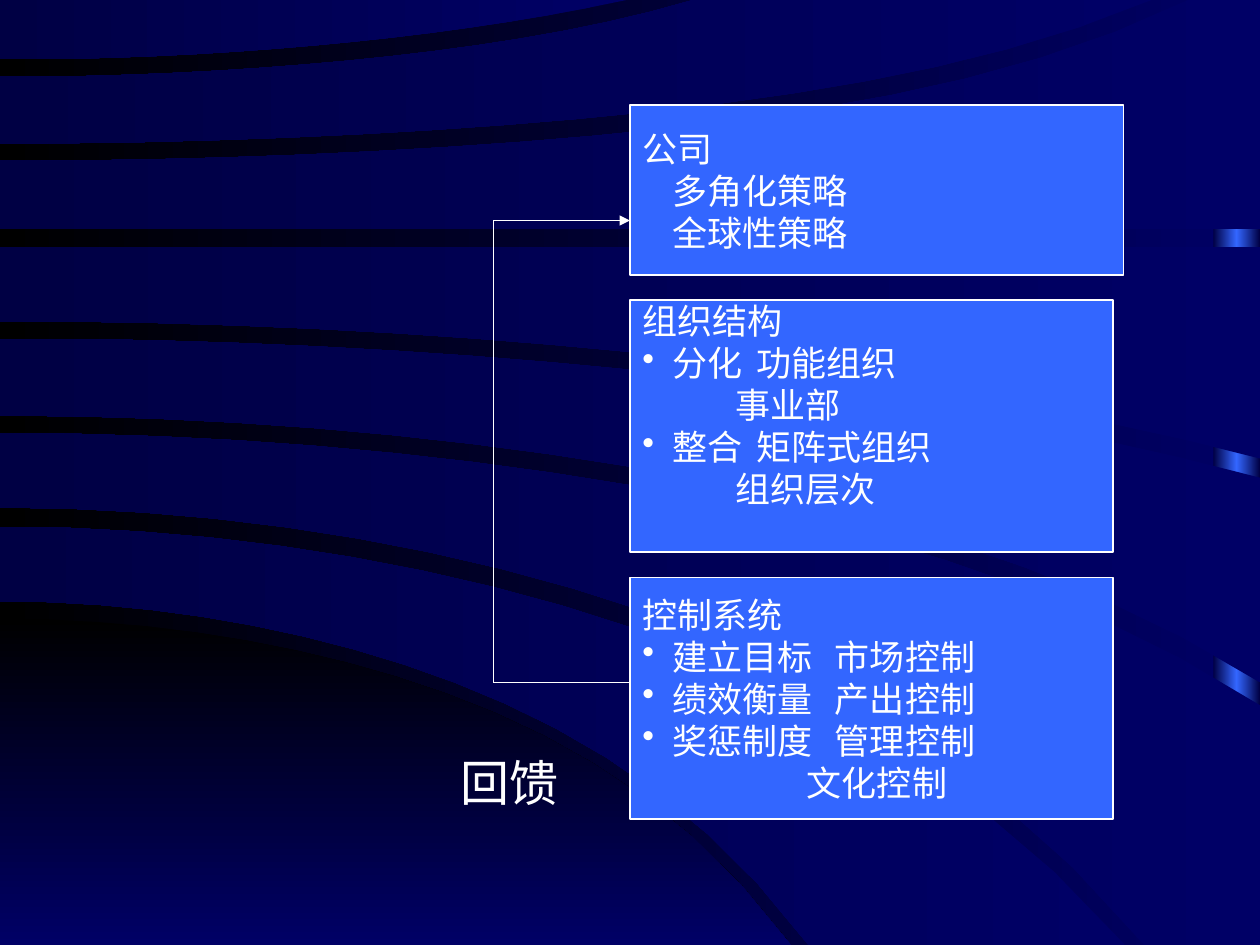
import copy
import pptx
import pptx.util
import pptx.dml.color
import pptx.enum.shapes
import pptx.enum.text
import pptx.oxml.ns
import lxml.etree

Pt = pptx.util.Pt
qn = pptx.oxml.ns.qn
FONT = "Times New Roman"
COLORS = {"navy": "000066", "dark": "000044", "black": "000000",
          "blue": "3366FF", "white": "FFFFFF"}
WIDTH, HEIGHT = 720, 540

# Backdrop: upper and lower edge of each shape as (start y, end x, end y, bend),
# then any corner between the two ends
DOME = ((353.5, 452, HEIGHT, 0.31), (HEIGHT, 452, HEIGHT, 0), [])
BANDS = [
    ((301, 643, HEIGHT, 0.26), (343.5, 462, HEIGHT, 0.28), []),
    ((247.5, WIDTH, 403, 0.25), (290, 654, HEIGHT, 0.28), [(WIDTH, HEIGHT)]),
    ((193.5, WIDTH, 273, 0.11), (237.5, WIDTH, 390, 0.25), []),
    ((141, WIDTH, 141, 0), (183.5, WIDTH, 262, 0.11), []),
    ((92, 679, 0, 0.4), (131, WIDTH, 131, 0), [(WIDTH, 0)]),
    ((44, 396, 0, 0.17), (82, 658, 0, 0.34), []),
    ((0, 358, 0, 0), (34, 358, 0, 0.07), []),
]
STEPS = 16

# Boxes: top, width, height, room kept below the text, tab stop,
# then lines of (indent, bulleted, text)
HANG = 17
BOXES = [
    (60, 282, 97.2, 0, None,
     [(0, False, "公司"), (HANG, False, "多角化策略"), (HANG, False, "全球性策略")]),
    (171.4, 276, 144, 24, 65,
     [(0, False, "组织结构"), (HANG, True, "分化\t功能组织"),
      (53, False, "事业部"), (HANG, True, "整合\t矩阵式组织"),
      (53, False, "组织层次")]),
    (330, 276, 138, 0, 110,
     [(0, False, "控制系统"), (HANG, True, "建立目标\t市场控制"),
      (HANG, True, "绩效衡量\t产出控制"), (HANG, True, "奖惩制度\t管理控制"),
      (94, False, "文化控制")]),
]
BOX_LEFT = 360

# Feedback loop from the control box back to the company box
LABEL = "回馈"
LOOP = [(BOX_LEFT, 390), (282, 390), (282, 126), (BOX_LEFT, 126)]


def color(name):
    return pptx.dml.color.RGBColor.from_string(COLORS[name])


def blend(fill, names, angle):
    fill.gradient()
    fill.gradient_angle = angle
    for stop, name in zip(fill.gradient_stops, names):
        stop.color.rgb = color(name)


def finish(shape):
    shape.shadow.inherit = False
    shape.line.fill.background()


def trace(start, reach, end, bend):
    """Points of an edge that leaves the left side level and steepens."""
    points = []
    for i in range(STEPS + 1):
        t = i / STEPS
        rise = (1 - bend) * t ** 2 + bend * t ** 6
        points.append((reach * t, start + (end - start) * rise))
    return points


def draw_band(shapes, band, names, angle):
    upper, lower, corner = band
    outline = trace(*upper) + corner + trace(*lower)[::-1]
    points = [(Pt(x), Pt(y)) for x, y in outline]
    pen = shapes.build_freeform(*points[0])
    pen.add_line_segments(points[1:], close=True)
    shape = pen.convert_to_shape()
    finish(shape)
    blend(shape.fill, names, angle)


def write(para, text, size, indent=0, bullet=False, tab=None):
    para.text = text
    para.alignment = pptx.enum.text.PP_ALIGN.LEFT
    para.space_before = Pt(0)
    props = para._p.get_or_add_pPr()
    props.set("marL", str(Pt(indent)))
    props.set("indent", str(-Pt(indent) if bullet else 0))
    if bullet:
        lxml.etree.SubElement(props, qn("a:buChar"), char="•")
    else:
        lxml.etree.SubElement(props, qn("a:buNone"))
    if "\t" in text:
        stops = lxml.etree.SubElement(props, qn("a:tabLst"))
        lxml.etree.SubElement(stops, qn("a:tab"), pos=str(Pt(tab)), algn="l")
    para.font.size = Pt(size)
    para.font.name = FONT
    para.font.color.rgb = color("white")


def draw_box(shapes, top, width, height, below, tab, lines):
    box = shapes.add_shape(pptx.enum.shapes.MSO_SHAPE.RECTANGLE,
                           Pt(BOX_LEFT), Pt(top), Pt(width), Pt(height))
    box.shadow.inherit = False
    box.fill.solid()
    box.fill.fore_color.rgb = color("blue")
    box.line.color.rgb = color("white")
    box.line.width = Pt(0.75)
    frame = box.text_frame
    frame.word_wrap = True
    frame.vertical_anchor = pptx.enum.text.MSO_ANCHOR.MIDDLE
    frame.margin_bottom = Pt(3.6 + below)
    for i, (indent, bullet, text) in enumerate(lines):
        para = frame.add_paragraph() if i else frame.paragraphs[0]
        write(para, text, 20, indent, bullet, tab)


def main():
    deck = pptx.Presentation()
    deck.slide_width, deck.slide_height = Pt(WIDTH), Pt(HEIGHT)
    slide = deck.slides.add_slide(deck.slide_layouts[1])
    shapes = slide.shapes
    title = shapes.title.element
    title.getparent().remove(title)

    # Backdrop
    blend(slide.background.fill, ["navy", "black"], 180)
    strip = shapes.add_shape(pptx.enum.shapes.MSO_SHAPE.RECTANGLE,
                             Pt(693.4), 0, Pt(26.6), Pt(HEIGHT))
    finish(strip)
    blend(strip.fill, ["dark", "blue"], 180)
    stops = strip.element.find(".//" + qn("a:gsLst"))
    stops.append(copy.deepcopy(stops[0]))
    for stop, pos in zip(stops, (0, 50000, 100000)):
        stop.set("pos", str(pos))
    draw_band(shapes, DOME, ["black", "navy"], 270)
    for band in BANDS:
        draw_band(shapes, band, ["navy", "dark"], 180)

    # Feedback label, lifted above the backdrop
    body = slide.placeholders[1]
    body.left, body.top, body.width, body.height = Pt(255.8), Pt(425), Pt(90), Pt(44)
    body.text_frame.vertical_anchor = pptx.enum.text.MSO_ANCHOR.MIDDLE
    write(body.text_frame.paragraphs[0], LABEL, 28)
    body.element.getparent().append(body.element)

    # Boxes
    for box in BOXES:
        draw_box(shapes, *box)

    # Feedback loop, with the arrowhead on its last leg
    for start, end in zip(LOOP, LOOP[1:]):
        leg = shapes.add_connector(pptx.enum.shapes.MSO_CONNECTOR.STRAIGHT,
                                   *(Pt(v) for v in start + end))
        leg.line.color.rgb = color("white")
        leg.line.width = Pt(0.75)
        lxml.etree.SubElement(leg.element.spPr, qn("a:effectLst"))
    line = leg.element.spPr.find(qn("a:ln"))
    lxml.etree.SubElement(line, qn("a:tailEnd"), type="triangle")

    deck.save("out.pptx")


if __name__ == "__main__":
    main()
